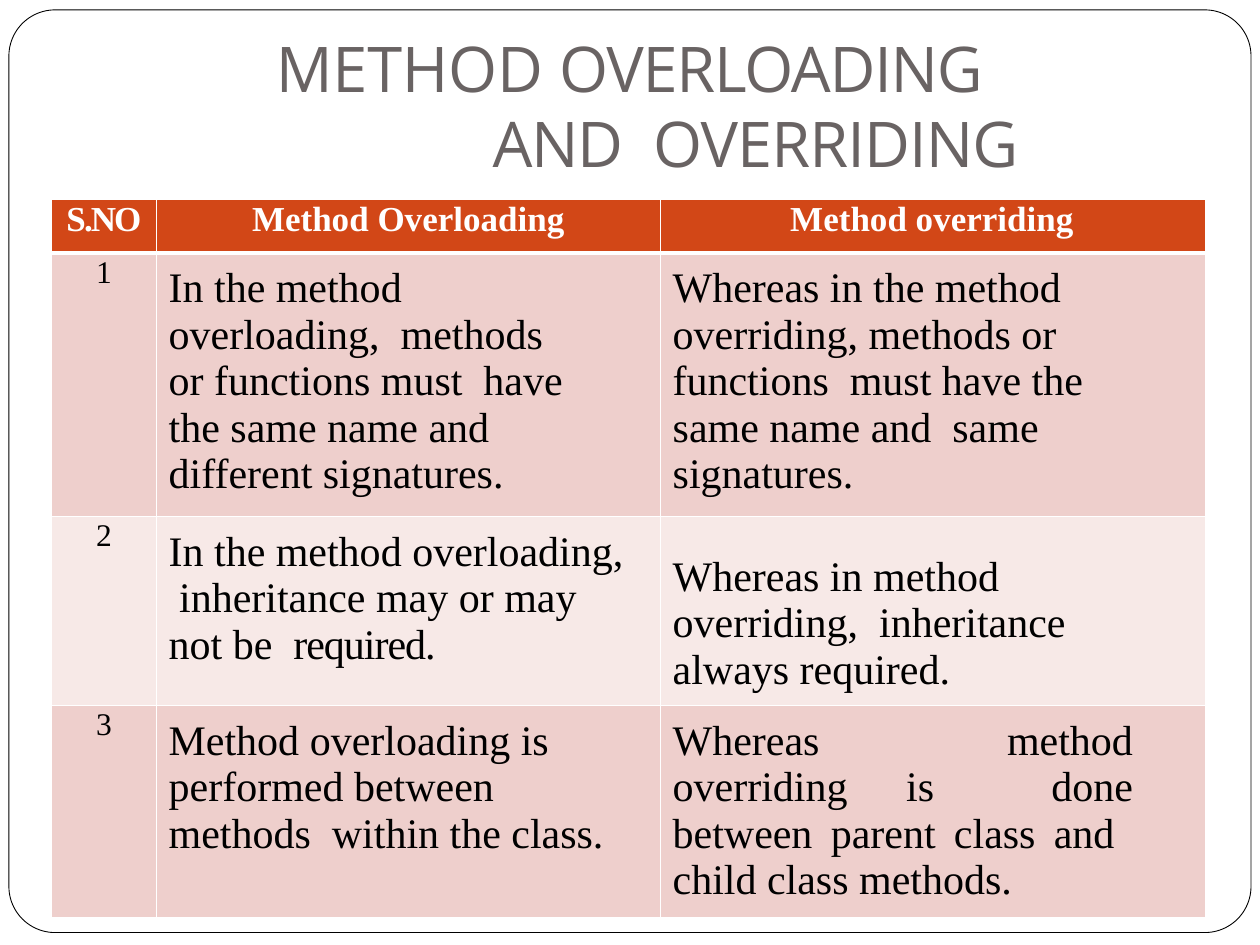
from lxml import etree
from pptx import Presentation
from pptx.dml.color import RGBColor
from pptx.enum.shapes import MSO_SHAPE
from pptx.enum.text import MSO_ANCHOR, PP_ALIGN
from pptx.oxml.ns import qn
from pptx.util import Cm, Pt

SERIF = "Times New Roman"
HEADER_FILL = "D24717"
BAND_FILLS = ("EECFCC", "F7E9E7")
COLUMN_WIDTHS = (2.11, 10.16, 11)
ROW_HEIGHTS = (1.09, 5.31, 3.81, 4.28)

HEADERS = (("S.NO", 0, -1.1), ("Method Overloading", 1.93, 0), ("Method overriding", 2.62, 0))

ROWS = (
    ([("In the method overloading,  methods or functions must  have "
       "the same name and  different signatures.", 0)], 1.7,
     "Whereas in the method  overriding, methods or functions  must have "
     "the same name and  same signatures."),
    ([("In the method overloading,  inheritance may or may not be  ", 0),
      ("required.", -0.6)], 0.56,
     "Whereas in method overriding,  inheritance always required."),
    ([("Method overloading is  performed between methods  within the class.", 0)], 0.9,
     "Whereas method overriding is  done between parent class and  "
     "child class methods."),
)


def color(hex_value):
    return RGBColor.from_string(hex_value)


def write_runs(paragraph, runs, font, size, hex_value, bold=False):
    for text, spacing in runs:
        run = paragraph.add_run()
        run.text = text
        run.font.name = font
        run.font.size = Pt(size)
        run.font.bold = bold
        run.font.color.rgb = color(hex_value)
        if spacing:
            run.font._element.set("spc", str(round(spacing * 100)))


def set_indent(paragraph, left, first=0):
    properties = paragraph._p.get_or_add_pPr()
    properties.set("marL", str(Cm(left)))
    properties.set("indent", str(Cm(first)))


def set_borders(cell, top, bottom):
    properties = cell._tc.get_or_add_tcPr()
    for index, (side, width) in enumerate(
            (("lnL", 1), ("lnR", 1), ("lnT", top), ("lnB", bottom))):
        line = etree.Element(qn(f"a:{side}"), w=str(Pt(width)))
        fill = etree.SubElement(line, qn("a:solidFill"))
        etree.SubElement(fill, qn("a:srgbClr"), val="FFFFFF")
        properties.insert(index, line)


def fill_cell(cell, runs, size, fill, text_color="000000", bold=False, align=PP_ALIGN.LEFT,
              indent=0, before=0, top=0, right=0, borders=(1, 1)):
    cell.margin_left = cell.margin_bottom = 0
    cell.margin_top, cell.margin_right = Cm(top), Cm(right)
    cell.vertical_anchor = MSO_ANCHOR.TOP
    cell.fill.solid()
    cell.fill.fore_color.rgb = color(fill)
    set_borders(cell, *borders)
    paragraph = cell.text_frame.paragraphs[0]
    paragraph.alignment = align
    paragraph.space_before = Pt(before)
    set_indent(paragraph, indent)
    write_runs(paragraph, runs, SERIF, size, text_color, bold)


def add_frame(slide):
    frame = slide.shapes.add_shape(
        MSO_SHAPE.ROUNDED_RECTANGLE, Cm(0.18), Cm(0.2), Cm(25.04), Cm(18.6))
    frame.adjustments[0] = 0.05
    frame.shadow.inherit = False
    frame.fill.background()
    frame.line.color.rgb = color("000000")
    frame.line.width = Pt(0.5)


def set_title(slide):
    title = slide.shapes.title
    title.left, title.top, title.width, title.height = Cm(4.27), Cm(0.56), Cm(16.87), Cm(3.12)
    text = title.text_frame
    text.word_wrap = True
    text.vertical_anchor = MSO_ANCHOR.TOP
    text.margin_left = text.margin_right = text.margin_bottom = 0
    text.margin_top = Cm(0.03)
    paragraph = text.paragraphs[0]
    paragraph.alignment = PP_ALIGN.LEFT
    paragraph.space_before = Pt(1)
    set_indent(paragraph, 5.66, -4.37)
    write_runs(paragraph, [("METHOD ", -0.1), ("OVERLOADING ", -0.7),
                           ("AND  ", -0.8), ("OVERRIDING", -0.5)],
               "Open Sans", 36, "696363")


def add_comparison(slide):
    table = slide.shapes.add_table(
        len(ROW_HEIGHTS), len(COLUMN_WIDTHS), Cm(1.04), Cm(4.01),
        Cm(sum(COLUMN_WIDTHS)), Cm(sum(ROW_HEIGHTS))).table
    for column, width in zip(table.columns, COLUMN_WIDTHS):
        column.width = Cm(width)
    for row, height in zip(table.rows, ROW_HEIGHTS):
        row.height = Cm(height)
    for index, (text, indent, spacing) in enumerate(HEADERS):
        fill_cell(table.cell(0, index), [(text, spacing)], 20, HEADER_FILL, "FFFFFF", True,
                  PP_ALIGN.LEFT if indent else PP_ALIGN.CENTER,
                  indent, before=0.8, top=0.03, borders=(1, 3))
    for number, (overloading, right, overriding) in enumerate(ROWS, 1):
        fill = BAND_FILLS[(number - 1) % 2]
        borders = (3 if number == 1 else 1, 1)
        fill_cell(table.cell(number, 0), [(str(number), 0)], 18, fill,
                  align=PP_ALIGN.CENTER, before=1.1, top=0.05, borders=borders)
        fill_cell(table.cell(number, 1), overloading, 24, fill, indent=0.25,
                  before=7.2, top=0.25, right=right, borders=borders)
        lowered = number == 2
        fill_cell(table.cell(number, 2), [(overriding, 0)], 24, fill,
                  align=PP_ALIGN.JUSTIFY if number == 3 else PP_ALIGN.LEFT, indent=0.25,
                  before=21.6 if lowered else 7.2, top=0.76 if lowered else 0.25,
                  right=1.47, borders=borders)


def main():
    presentation = Presentation()
    presentation.slide_width, presentation.slide_height = Cm(25.4), Cm(19.05)
    slide = presentation.slides.add_slide(presentation.slide_layouts[5])
    add_frame(slide)
    set_title(slide)
    add_comparison(slide)
    presentation.save("out.pptx")


main()
